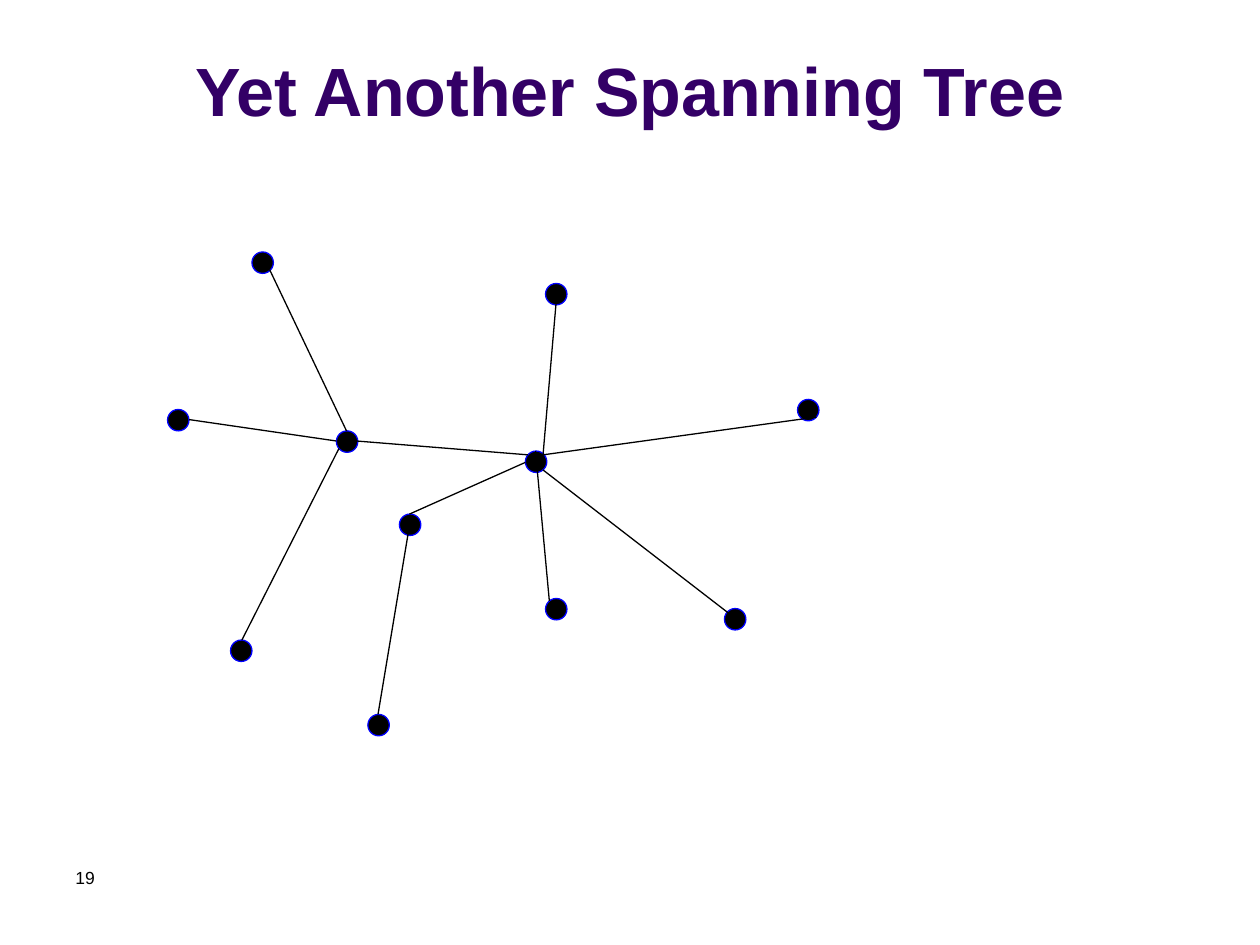
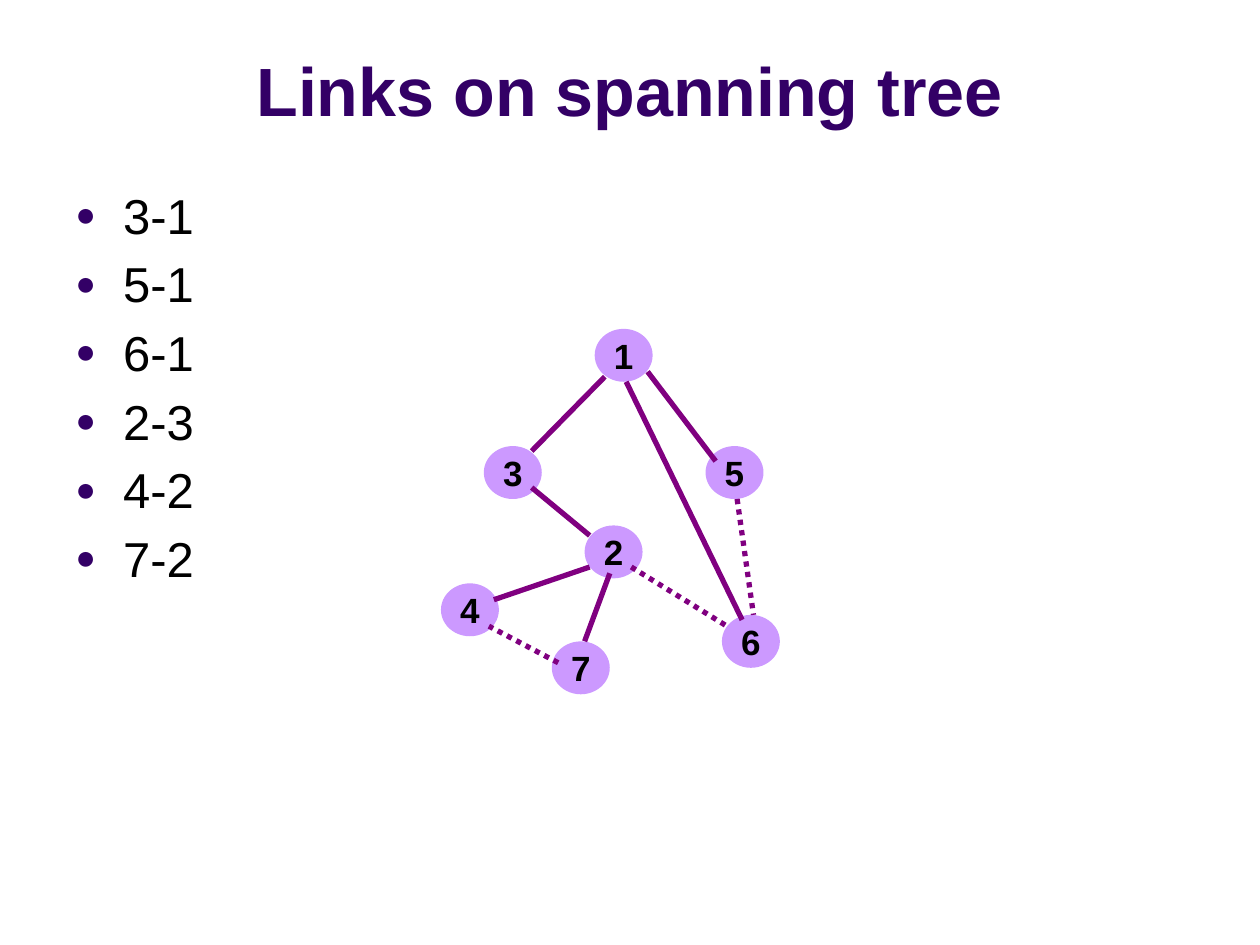
from dataclasses import dataclass

from lxml import etree
from pptx import Presentation
from pptx import util as u
from pptx.dml.color import RGBColor
from pptx.enum import dml, shapes, text
from pptx.oxml import parse_xml
from pptx.oxml.ns import nsdecls, qn


@dataclass(frozen=True)
class Theme:
    font: str = "Arial"
    title: str = "330066"
    ink: str = "000000"
    dot_outline: str = "0000FF"
    node: str = "CC99FF"
    link: str = "800080"
    title_size: int = 39
    body_size: int = 28
    node_size: int = 20
    number_size: int = 10
    thin: float = 0.75
    thick: float = 3


theme = Theme()


def write(shape, *lines, size, color=theme.ink, bold=False, align=text.PP_ALIGN.LEFT,
          anchor=text.MSO_ANCHOR.TOP, wrap=True, bullet=False):
    """Fill a shape with one paragraph per line, bulleted on request."""
    frame = shape.text_frame
    frame.word_wrap = wrap
    frame.vertical_anchor = anchor
    for index, line in enumerate(lines):
        para = frame.add_paragraph() if index else frame.paragraphs[0]
        para.alignment = align
        span = para.add_run()
        span.text = line
        span.font.name = theme.font
        span.font.size = u.Pt(size)
        span.font.bold = bold
        span.font.color.rgb = RGBColor.from_string(color)
        if bullet:
            settings = para._p.get_or_add_pPr()
            settings.set("marL", str(u.Inches(0.38)))
            settings.set("indent", str(u.Inches(-0.38)))
            for tag in (
                '<a:spcBef {}><a:spcPct val="20000"/></a:spcBef>',
                '<a:buClr {}><a:srgbClr val="' + theme.title + '"/></a:buClr>',
                '<a:buSzPct {} val="70000"/>',
                '<a:buFont {} typeface="' + theme.font + '"/>',
                '<a:buChar {} char="●"/>',
            ):
                settings.append(parse_xml(tag.format(nsdecls("a"))))


def draw_line(page, start, end, color, width, dotted=False):
    points = [u.Inches(value) for value in (*start, *end)]
    line = page.shapes.add_connector(shapes.MSO_CONNECTOR.STRAIGHT, *points)
    line.line.color.rgb = RGBColor.from_string(color)
    line.line.width = u.Pt(width)
    if dotted:
        line.line.dash_style = dml.MSO_LINE.ROUND_DOT
    etree.SubElement(line._element.spPr, qn("a:effectLst"))


deck = Presentation()
deck.slide_width, deck.slide_height = u.Inches(10), u.Inches(7.5)

pages = []
for title in ("Yet Another Spanning Tree", "Links on spanning tree"):
    page = deck.slides.add_slide(deck.slide_layouts[6])
    box = page.shapes.add_textbox(u.Inches(0), u.Inches(0.13), u.Inches(10), u.Inches(0.95))
    write(box, title, size=theme.title_size, color=theme.title, bold=True,
          align=text.PP_ALIGN.CENTER, anchor=text.MSO_ANCHOR.BOTTOM)
    pages.append(page)
tree_page, links_page = pages

# Unlabelled tree
number_box = tree_page.shapes.add_textbox(
    u.Inches(0.5), u.Inches(6.83), u.Inches(2.33), u.Inches(0.5))
write(number_box, "19", size=theme.number_size)

dot_size = u.Inches(0.17)
dots = [(2, 2), (1.33, 3.25), (4.33, 2.25), (4.33, 4.75), (2.92, 5.67), (2.67, 3.42),
        (6.33, 3.17), (3.17, 4.08), (1.83, 5.08), (4.17, 3.58), (5.75, 4.83)]
for left, top in dots:
    dot = tree_page.shapes.add_shape(
        shapes.MSO_SHAPE.OVAL, u.Inches(left), u.Inches(top), dot_size, dot_size)
    dot.shadow.inherit = False
    dot.fill.solid()
    dot.fill.fore_color.rgb = RGBColor.from_string(theme.ink)
    dot.line.color.rgb = RGBColor.from_string(theme.dot_outline)
    dot.line.width = u.Pt(theme.thin)

branches = [
    ((2.14, 2.14), (2.75, 3.42)),
    ((4.31, 3.73), (5.8, 4.88)),
    ((4.42, 2.33), (4.31, 3.61)),
    ((4.25, 3.58), (4.36, 4.77)),
    ((3.25, 4.17), (3, 5.67)),
    ((2.83, 3.5), (4.19, 3.61)),
    ((1.5, 3.33), (2.67, 3.5)),
    ((1.92, 5.08), (2.69, 3.56)),
    ((3.25, 4.08), (4.17, 3.67)),
    ((4.31, 3.61), (6.48, 3.31)),
]
for start, end in branches:
    draw_line(tree_page, start, end, theme.ink, theme.thin)

# Numbered tree with its list of links
list_box = links_page.shapes.add_textbox(
    u.Inches(0.5), u.Inches(1.42), u.Inches(9.33), u.Inches(5.29))
write(list_box, "3-1", "5-1", "6-1", "2-3", "4-2", "7-2", size=theme.body_size, bullet=True)

nodes = {"1": (4.72, 2.61), "3": (3.84, 3.54), "5": (5.6, 3.54), "2": (4.64, 4.17),
         "6": (5.73, 4.88), "4": (3.5, 4.63), "7": (4.38, 5.09)}
for label, (left, top) in nodes.items():
    node = links_page.shapes.add_shape(
        shapes.MSO_SHAPE.OVAL, u.Inches(left), u.Inches(top), u.Inches(0.46), u.Inches(0.42))
    node.shadow.inherit = False
    node.fill.solid()
    node.fill.fore_color.rgb = RGBColor.from_string(theme.node)
    node.line.fill.background()
    write(node, label, size=theme.node_size, bold=True, wrap=False,
          align=text.PP_ALIGN.CENTER, anchor=text.MSO_ANCHOR.MIDDLE)

tree_links = [
    ((4.8, 2.99), (4.22, 3.58)),
    ((5.14, 2.95), (5.68, 3.66)),
    ((4.22, 3.87), (4.68, 4.25)),
    ((4.97, 3.03), (5.89, 4.92)),
    ((3.92, 4.76), (4.68, 4.5)),
    ((4.64, 5.09), (4.84, 4.55)),
]
unused_links = [
    ((5.01, 4.5), (5.77, 4.97)),
    ((5.85, 3.96), (5.98, 4.88)),
    ((4.43, 5.26), (3.88, 4.97)),
]
for links, dotted in ((tree_links, False), (unused_links, True)):
    for start, end in links:
        draw_line(links_page, start, end, theme.link, theme.thick, dotted)

deck.save("out.pptx")
